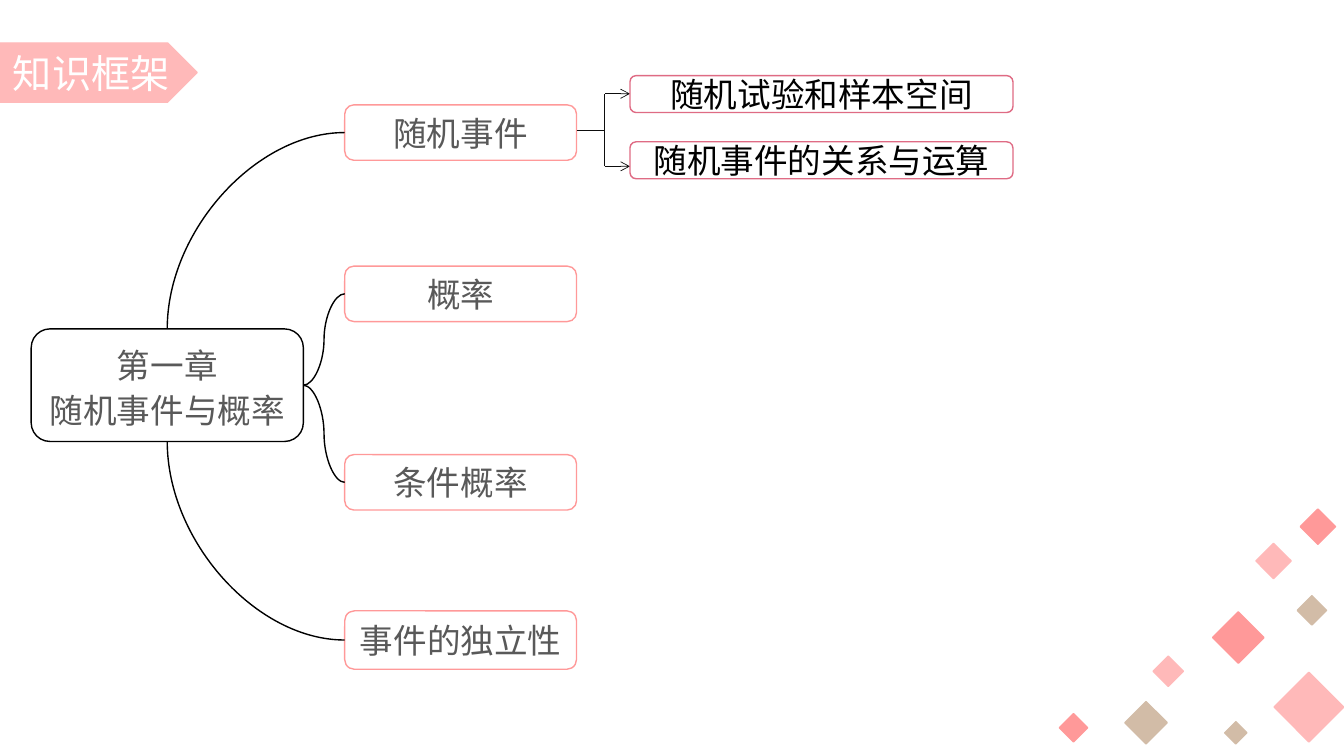
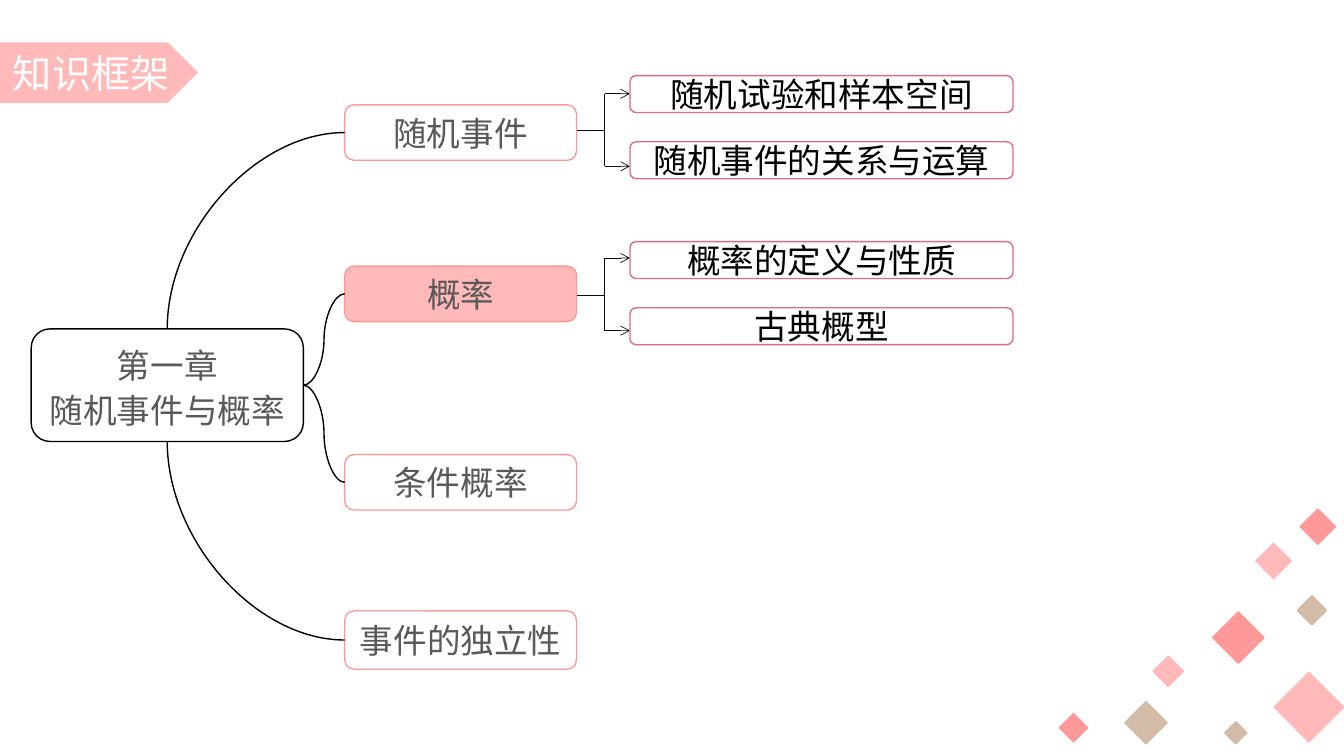
"""Builds two knowledge-map slides for a chapter on random events and probability."""
from dataclasses import dataclass
from typing import NamedTuple

from lxml.etree import SubElement
from pptx import Presentation
from pptx.dml.color import RGBColor
from pptx.enum.shapes import MSO_CONNECTOR, MSO_SHAPE
from pptx.enum.text import MSO_ANCHOR, PP_ALIGN
from pptx.oxml.ns import qn
from pptx.shapes.autoshape import Shape
from pptx.shapes.connector import Connector
from pptx.slide import Slide
from pptx.util import Inches, Length, Pt

COLUMNS, ROWS = 40, 22.5
CELL = Inches(7.5) / ROWS
TOP, LEFT, BOTTOM, RIGHT = range(4)


@dataclass(frozen=True)
class Theme:
    font: str = "Noto Sans CJK SC"
    title_size: int = 28
    body_size: int = 24
    root_spacing: int = 32
    outline: float = 1
    hairline: float = 0.5
    pink: str = "FFB9B9"
    rose: str = "FF9999"
    tan: str = "D2BCA7"
    berry: str = "DF6B84"
    gray: str = "595959"
    ink: str = "0D0D0D"
    black: str = "000000"
    white: str = "FFFFFF"


THEME = Theme()


class Box(NamedTuple):
    col: float
    row: float
    cols: float
    rows: float


class Diamond(NamedTuple):
    col: float
    row: float
    size: float
    color: str


class Topic(NamedTuple):
    text: str
    row: float
    rows: float
    root_site: int


class Branch(NamedTuple):
    leaf_row: float
    arrow_row: float
    leaves: tuple[str, str]


class Page(NamedTuple):
    branches: tuple[Branch, ...]
    highlight: str = ""


DIAMONDS = (
    Diamond(37.38, 16.17, 1.05, THEME.pink),
    Diamond(37.92, 20.01, 2.07, THEME.pink),
    Diamond(36.45, 21.48, 0.66, THEME.tan),
    Diamond(36.09, 18.21, 1.53, THEME.rose),
    Diamond(38.61, 17.73, 0.87, THEME.tan),
    Diamond(33.48, 20.88, 1.26, THEME.tan),
    Diamond(31.53, 21.24, 0.84, THEME.rose),
    Diamond(38.7, 15.15, 1.05, THEME.rose),
    Diamond(34.32, 19.53, 0.9, THEME.pink),
)
TITLE_BOX = Box(0, 1.28, 5.87, 1.76)
ROOT_BOX = Box(0.93, 9.79, 8.1, 3.35)
TOPICS = (
    Topic("随机事件", 3.12, 1.65, TOP),
    Topic("概率", 7.92, 1.65, RIGHT),
    Topic("条件概率", 13.53, 1.65, RIGHT),
    Topic("事件的独立性", 18.18, 1.74, BOTTOM),
)
TOPIC_COL, TOPIC_COLS = 10.26, 6.9
LEAF_COL, LEAF_COLS, LEAF_ROWS, LEAF_PITCH = 18.75, 11.4, 1.1, 1.97
BRACKET_COL, BRACKET_ROWS, STEM_DROP = 18, 2.16, 1.1

EVENTS = Branch(2.25, 2.79, ("随机试验和样本空间", "随机事件的关系与运算"))
PROBABILITY = Branch(7.19, 7.68, ("概率的定义与性质", "古典概型"))
PAGES = (Page((EVENTS,)), Page((EVENTS, PROBABILITY), highlight="概率"))


def grid(cells: float) -> Length:
    """Turn a number of grid cells into a length."""
    return Length(round(cells * CELL))


def add_box(shapes, kind: MSO_SHAPE, box: Box, line: str, fill: str = "") -> Shape:
    """Draw an outlined shape, filled only when a fill colour is given."""
    sp = shapes.add_shape(kind, *map(grid, box))
    sp.shadow.inherit = False
    sp.line.color.rgb = RGBColor.from_string(line)
    sp.line.width = Pt(THEME.outline)
    if fill:
        sp.fill.solid()
        sp.fill.fore_color.rgb = RGBColor.from_string(fill)
    else:
        sp.fill.background()
    return sp


def write(sp: Shape, text: str, color: str, size: int = THEME.body_size, spacing: int = 0) -> None:
    """Put centred text into a shape."""
    tf = sp.text_frame
    tf.text = text
    tf.word_wrap = True
    tf.vertical_anchor = MSO_ANCHOR.MIDDLE
    for p in tf.paragraphs:
        p.alignment = PP_ALIGN.CENTER
        if spacing:
            p.line_spacing = Pt(spacing)
        for r in p.runs:
            r.font.name = THEME.font
            r.font.size = Pt(size)
            r.font.color.rgb = RGBColor.from_string(color)
            SubElement(r.font._element, qn("a:ea")).set("typeface", THEME.font)


def style_line(cxn: Connector, color: str, width: float, arrow: bool = False) -> None:
    """Colour a connector, drop its shadow and optionally add an arrowhead."""
    cxn.line.color.rgb = RGBColor.from_string(color)
    cxn.line.width = Pt(width)
    if arrow:
        SubElement(cxn.line._get_or_add_ln(), qn("a:tailEnd")).set("type", "arrow")
    SubElement(cxn._element.spPr, qn("a:effectLst"))


def add_curve(s: Slide, root: Shape, topic: Shape, root_site: int) -> None:
    """Join the root to a topic with a curve glued to both shapes."""
    cxn = s.shapes.add_connector(MSO_CONNECTOR.CURVE, 0, 0, 0, 0)
    if root_site == RIGHT:
        cxn.begin_connect(root, root_site)
        cxn.end_connect(topic, LEFT)
    else:
        cxn.begin_connect(topic, LEFT)
        cxn.end_connect(root, root_site)
        cxn._element.spPr.find(qn("a:prstGeom")).set("prst", "curvedConnector2")
    style_line(cxn, THEME.black, THEME.outline)


def add_decor(s: Slide) -> None:
    """Draw the title tag and the scattered diamonds."""
    group = s.shapes.add_group_shape()
    for d in DIAMONDS:
        box = Box(d.col, d.row, d.size, d.size)
        add_box(group.shapes, MSO_SHAPE.DIAMOND, box, d.color, d.color)
    tag = add_box(s.shapes, MSO_SHAPE.PENTAGON, TITLE_BOX, THEME.pink, THEME.pink)
    write(tag, "知识框架", THEME.white, THEME.title_size)


def add_topics(s: Slide, highlight: str) -> None:
    """Draw the chapter root and its topics."""
    root = add_box(s.shapes, MSO_SHAPE.ROUNDED_RECTANGLE, ROOT_BOX, THEME.black)
    write(root, "第一章\n随机事件与概率", THEME.gray, spacing=THEME.root_spacing)
    for topic in TOPICS:
        box = Box(TOPIC_COL, topic.row, TOPIC_COLS, topic.rows)
        fill = THEME.pink if topic.text == highlight else ""
        sp = add_box(s.shapes, MSO_SHAPE.ROUNDED_RECTANGLE, box, THEME.rose, fill)
        write(sp, topic.text, THEME.gray)
        add_curve(s, root, sp, topic.root_site)


def add_branch(s: Slide, branch: Branch) -> None:
    """Draw a bracket with arrows and the leaves it points to."""
    top, bottom = branch.arrow_row, branch.arrow_row + BRACKET_ROWS
    stem = top + STEM_DROP
    segments = (
        (BRACKET_COL, top, LEAF_COL, top, True),
        (BRACKET_COL, bottom, BRACKET_COL, top, False),
        (BRACKET_COL, bottom, LEAF_COL, bottom, True),
        (TOPIC_COL + TOPIC_COLS, stem, BRACKET_COL, stem, False),
    )
    group = s.shapes.add_group_shape()
    for *ends, arrow in segments:
        cxn = group.shapes.add_connector(MSO_CONNECTOR.STRAIGHT, *map(grid, ends))
        style_line(cxn, THEME.ink, THEME.hairline, arrow)
    for i, text in enumerate(branch.leaves):
        box = Box(LEAF_COL, branch.leaf_row + i * LEAF_PITCH, LEAF_COLS, LEAF_ROWS)
        sp = add_box(s.shapes, MSO_SHAPE.ROUNDED_RECTANGLE, box, THEME.berry)
        write(sp, text, THEME.black)


def main() -> None:
    """Build and save the presentation."""
    prs = Presentation()
    prs.slide_width, prs.slide_height = grid(COLUMNS), grid(ROWS)
    for page in PAGES:
        s = prs.slides.add_slide(prs.slide_layouts[6])
        add_decor(s)
        add_topics(s, page.highlight)
        for branch in page.branches:
            add_branch(s, branch)
    prs.save("out.pptx")


if __name__ == "__main__":
    main()
